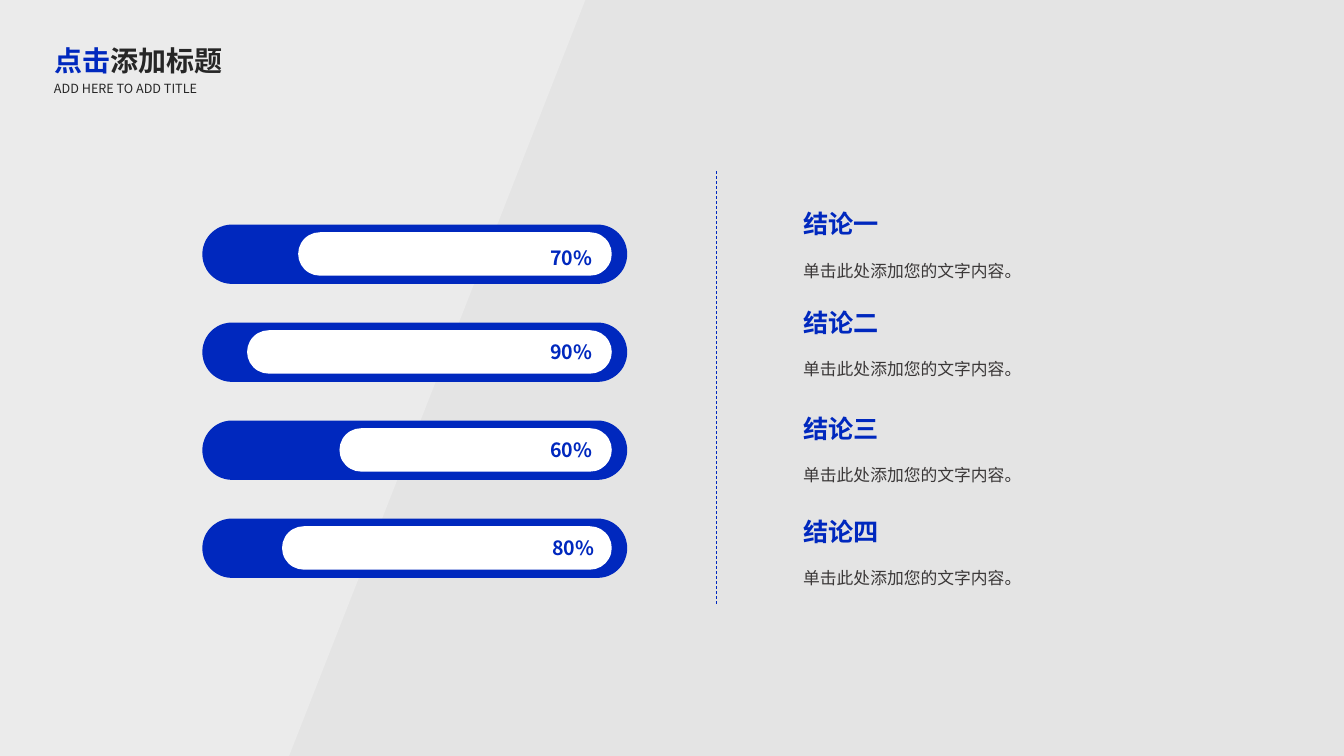
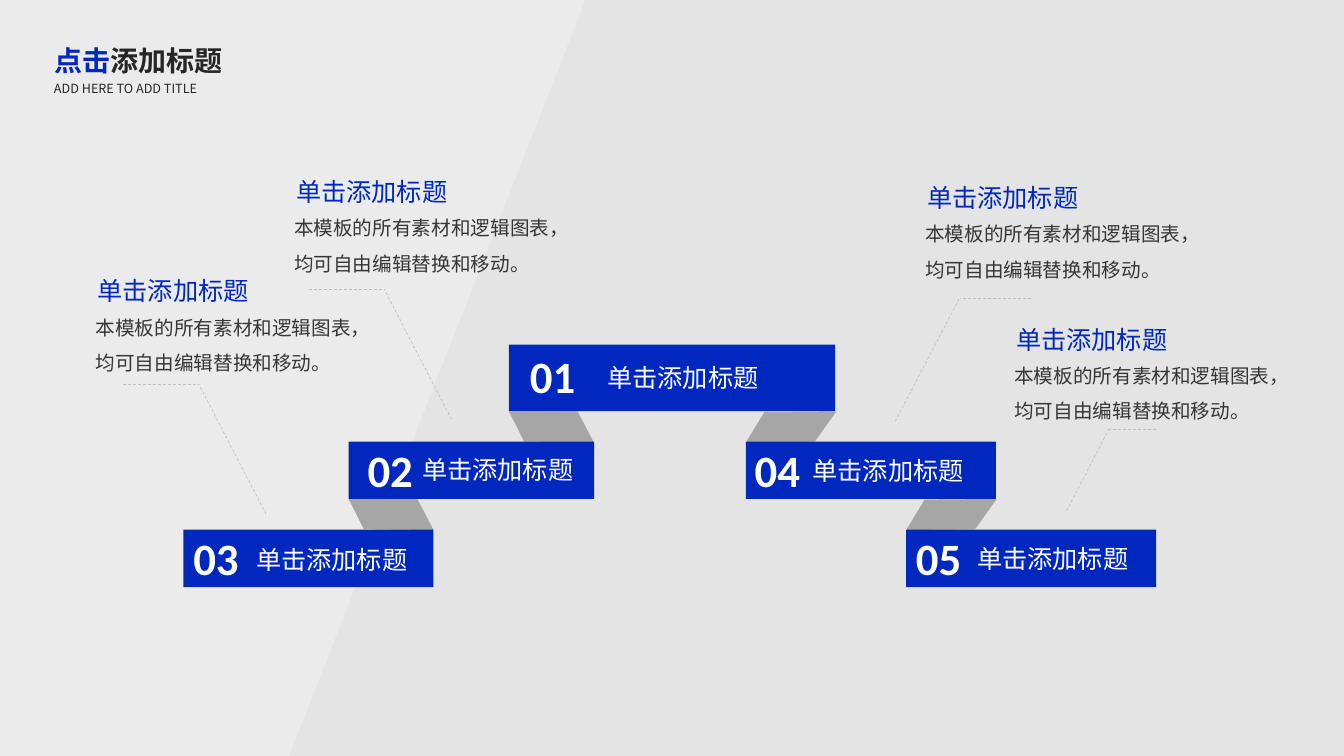
from lxml.etree import SubElement
from pptx import Presentation
from pptx.dml.color import RGBColor
from pptx.enum.dml import MSO_LINE_DASH_STYLE as Dash
from pptx.enum.shapes import MSO_CONNECTOR as Connector, MSO_SHAPE as Shape
from pptx.enum.text import MSO_AUTO_SIZE as AutoSize, PP_ALIGN as Align
from pptx.oxml.ns import qn
from pptx.util import Pt

BLUE = "0028BE"
WHITE = "FFFFFF"
DARK = "262626"
BODY = "3B3838"
CALLOUT_BODY = "373535"
RIBBON = "A6A6A6"
LEADER = "BFBFBF"
BACKGROUND = "E4E4E4"
PANEL = "F1F1F1"
HEADING = "单击添加标题"


def color(value):
    return RGBColor.from_string(value)


class Deck:
    font = "Noto Sans CJK SC"
    number_font = "Calibri"

    def __init__(self):
        self.presentation = Presentation()
        self.presentation.slide_width = Pt(960)
        self.presentation.slide_height = Pt(540)
        fill = self.presentation.slide_master.background.fill
        fill.solid()
        fill.fore_color.rgb = color(BACKGROUND)
        self.slide = None

    def new_slide(self):
        self.slide = self.presentation.slides.add_slide(self.presentation.slide_layouts[6])
        panel = self.polygon([(418.5, -1), (206.5, 540), (-1, 540), (-1, -1)], PANEL)
        solid = panel.fill._xPr.find(qn("a:solidFill"))
        SubElement(solid[0], qn("a:alpha"), val="54000")
        self.text([("点击", BLUE), ("添加标题", DARK)], 31.5, 27.5, 145, 33, 20, bold=True)
        self.text([("ADD HERE TO ADD TITLE", DARK)], 31.5, 54, 133, 18, 9)

    def paint(self, shape, fill):
        shape.shadow.inherit = False
        shape.fill.solid()
        shape.fill.fore_color.rgb = color(fill)
        shape.line.fill.background()
        return shape

    def shape(self, kind, left, top, width, height, fill):
        shape = self.slide.shapes.add_shape(kind, Pt(left), Pt(top), Pt(width), Pt(height))
        return self.paint(shape, fill)

    def pill(self, left, top, width, height, fill):
        self.shape(Shape.ROUNDED_RECTANGLE, left, top, width, height, fill).adjustments[0] = 0.5

    def polygon(self, points, fill):
        start, *others = [(Pt(x), Pt(y)) for x, y in points]
        builder = self.slide.shapes.build_freeform(*start)
        builder.add_line_segments(others, close=True)
        return self.paint(builder.convert_to_shape(), fill)

    def dashed_line(self, start, end, stroke):
        points = [Pt(value) for value in (*start, *end)]
        connector = self.slide.shapes.add_connector(Connector.STRAIGHT, *points)
        connector.line.color.rgb = color(stroke)
        connector.line.width = Pt(0.5)
        connector.line.dash_style = Dash.DASH
        SubElement(connector._element.spPr, qn("a:effectLst"))

    def text(self, runs, left, top, width, height, size, bold=False, font=None,
             wrap=True, align=Align.LEFT, spacing=None):
        box = self.slide.shapes.add_textbox(Pt(left), Pt(top), Pt(width), Pt(height))
        frame = box.text_frame
        frame.word_wrap = wrap
        frame.auto_size = AutoSize.SHAPE_TO_FIT_TEXT
        paragraph = frame.paragraphs[0]
        paragraph.alignment = align
        if spacing:
            paragraph.line_spacing = spacing
        paragraph.font.size = Pt(size)
        paragraph.font.bold = bold
        paragraph.font.name = font or self.font
        if len(runs) == 1:
            paragraph.font.color.rgb = color(runs[0][1])
        properties = paragraph._p.pPr.find(qn("a:defRPr"))
        SubElement(properties, qn("a:ea"), typeface=font or self.font)
        for content, tint in runs:
            run = paragraph.add_run()
            run.text = content
            if len(runs) > 1:
                run.font.color.rgb = color(tint)

    def heading(self, left, top, tint):
        self.text([(HEADING, tint)], left, top, 142, 29, 18, align=Align.RIGHT)

    def bar(self, top, fill_left, label, label_left, label_top):
        self.pill(144.5, top, 303.5, 42.4, BLUE)
        self.pill(fill_left, top + 5.5, 437 - fill_left, 31, WHITE)
        self.text([(label, BLUE)], label_left, label_top, 45.4, 24.5, 14, bold=True, wrap=False)

    def conclusion(self, title, top):
        self.text([(title, BLUE)], 566.6, top, 69, 29, 18, bold=True, wrap=False)
        self.text([("单击此处添加您的文字内容。", BODY)], 566.6, top + 30, 250, 29, 12, spacing=1.5)

    def banner(self, number, box, number_at, heading_at):
        self.shape(Shape.RECTANGLE, *box, BLUE)
        self.text([(number, WHITE)], *number_at, 47.5, 46, 32, bold=True,
                  font=self.number_font, wrap=False)
        self.heading(*heading_at, WHITE)

    def callout(self, left, top, foot, knee, tail):
        self.dashed_line(foot, knee, LEADER)
        self.dashed_line((tail, knee[1]), knee, LEADER)
        self.text([("本模板的所有素材和逻辑图表，均可自由编辑替换和移动。", CALLOUT_BODY)],
                  left, top, 204.5, 58, 14, spacing=1.5)
        self.heading(left - 18.5, top - 20, BLUE)


def build_bars(deck):
    deck.new_slide()
    bars = [
        (213, "70%", 386, 172),
        (176.5, "90%", 386, 239.3),
        (242.5, "60%", 386, 309.5),
        (201.5, "80%", 387.5, 379.5),
    ]
    for index, bar in enumerate(bars):
        deck.bar(160.4 + 70 * index, *bar)
    conclusions = [("结论一", 145.5), ("结论二", 215.8), ("结论三", 291.5), ("结论四", 365)]
    for title, top in conclusions:
        deck.conclusion(title, top)
    deck.dashed_line((512, 122.4), (512, 431.3), BLUE)


def build_steps(deck):
    deck.new_slide()
    left_ribbon = [(363.5, 293.8), (412.6, 293.8), (424.2, 316), (374.4, 315.4)]
    right_ribbon = [(546, 294.3), (597.4, 293.8), (582, 315.5), (532.8, 316)]
    for ribbon, shift in ((left_ribbon, -114.5), (right_ribbon, 114.5)):
        for step in range(2):
            deck.polygon([(x + shift * step, y + 62.6 * step) for x, y in ribbon], RIBBON)

    banners = [
        ("01", (363.5, 246.2, 233, 47.5), (371.5, 245.5), (406.8, 255.5)),
        ("02", (249, 315.4, 175.5, 41), (255.5, 312.5), (274.5, 321.2)),
        ("03", (131, 378.4, 178.6, 41), (131, 375.8), (156, 385.2)),
        ("04", (532.8, 315.4, 178.6, 41), (532, 313), (553.5, 321.6)),
        ("05", (647.2, 378.4, 178.6, 41), (647.2, 375.8), (671, 384.6)),
    ]
    for banner in banners:
        deck.banner(*banner)

    callouts = [
        (203, 142.5, (322.5, 299.5), (274.5, 206.6), 220.5),
        (61.2, 213.4, (190, 367.2), (142, 274.4), 87.8),
        (653.8, 146.8, (639.4, 301), (685.4, 213), 736.6),
        (717.4, 248, (761.8, 365), (792, 306.6), 825.8),
    ]
    for callout in callouts:
        deck.callout(*callout)


def main():
    deck = Deck()
    build_bars(deck)
    build_steps(deck)
    deck.presentation.save("out.pptx")


if __name__ == "__main__":
    main()
